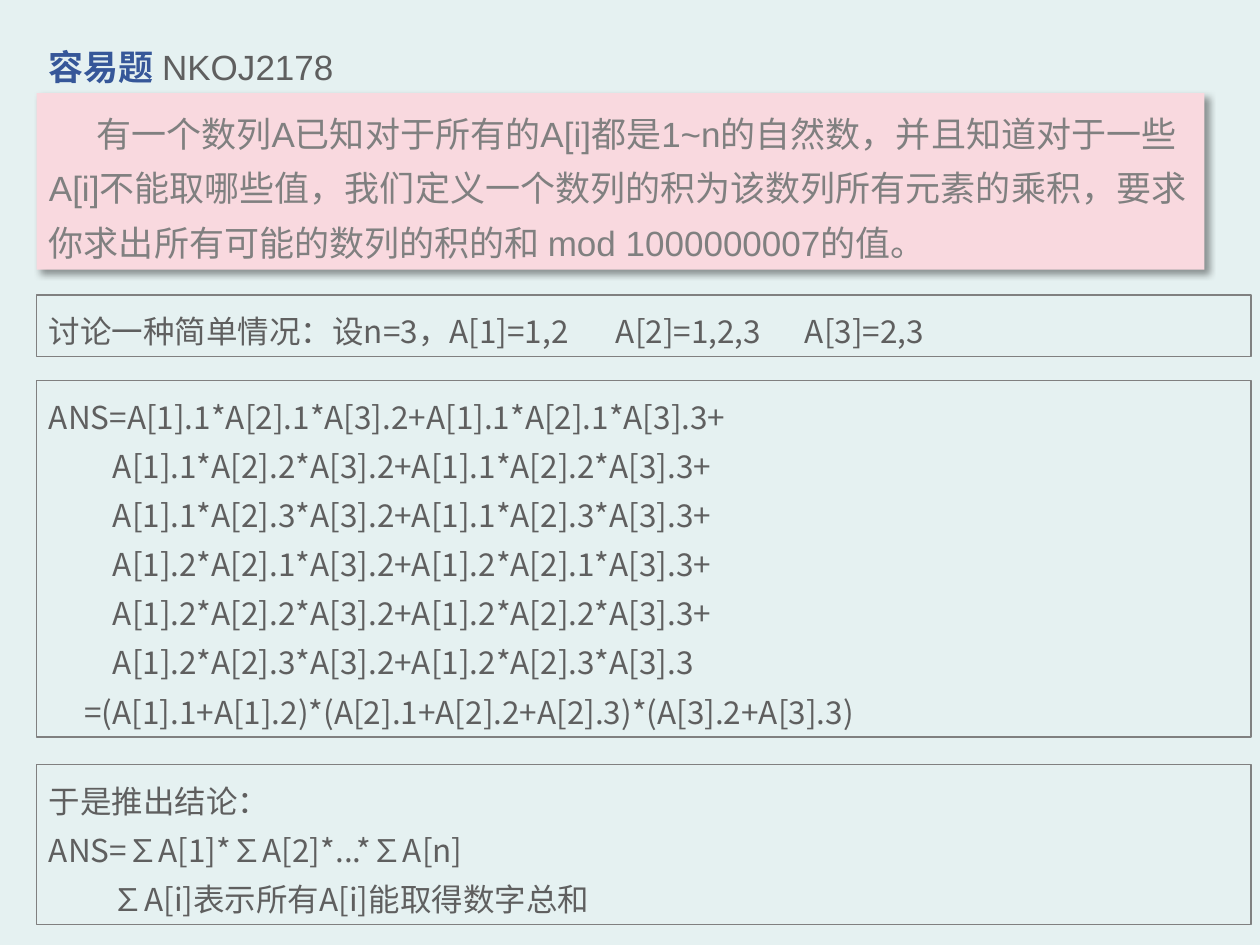
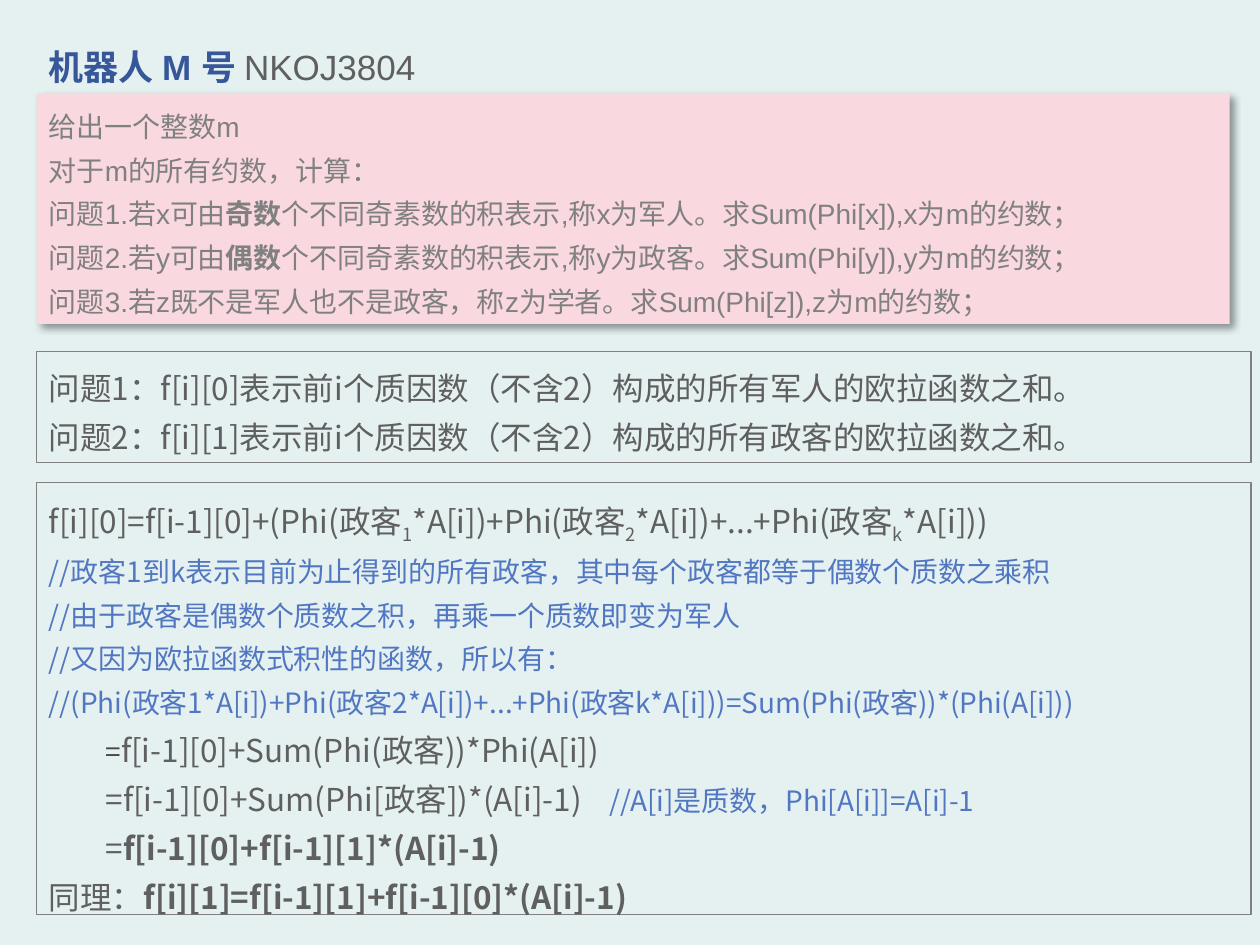
from lxml.etree import SubElement
from pptx import Presentation
from pptx.dml.color import RGBColor
from pptx.enum.shapes import MSO_SHAPE
from pptx.enum.text import MSO_ANCHOR, MSO_AUTO_SIZE, PP_ALIGN
from pptx.oxml.ns import qn
from pptx.util import Pt

BACKGROUND, PINK = "E5F1F1", "F9D9DF"
TITLE_BLUE, NOTE_BLUE = "365799", "5277C2"
GRAY, DARK, DARKER = "808080", "5F5F5F", "474747"
LATIN, CJK = "Arial", "Noto Sans CJK SC"
LEFT, TITLE_TOP, TITLE_WIDTH, TITLE_HEIGHT = 20.9, 15.1, 557.3, 38.2
PROBLEM_TOP, STEP_WIDTH = 53.3, 694

BOLD = {"bold": True}
NOTE = {"size": 16, "color": NOTE_BLUE}
SUB = {"baseline": -25}
PRODUCT_INDENT, FACTORED_INDENT, DERIVED_INDENT = 36.5, 20.3, 32.4


def line(*runs, **layout):
    return {"runs": runs, **layout}


PRODUCTS = [
    "A[1].1*A[2].2*A[3].2+A[1].1*A[2].2*A[3].3+",
    "A[1].1*A[2].3*A[3].2+A[1].1*A[2].3*A[3].3+",
    "A[1].2*A[2].1*A[3].2+A[1].2*A[2].1*A[3].3+",
    "A[1].2*A[2].2*A[3].2+A[1].2*A[2].2*A[3].3+",
    "A[1].2*A[2].3*A[3].2+A[1].2*A[2].3*A[3].3",
]

SLIDES = [
    {
        "title": "容易题 ",
        "number": "NKOJ2178",
        "problem": {
            "width": 667.4, "height": 100.8, "size": 20,
            "lines": [line(
                "有一个数列A已知对于所有的A[i]都是1~n的自然数，并且知道对于"
                "一些A[i]不能取哪些值，我们定义一个数列的积为该数列所有元素的乘积，"
                "要求你求出所有可能的数列的积的和 mod 1000000007的值。",
                first=27)],
        },
        "steps": [
            (168.5, 35.3, [line(
                "讨论一种简单情况：设n=3，A[1]=1,2\tA[2]=1,2,3\tA[3]=2,3",
                tabs=[322, 421])]),
            (217.4, 203.8, [
                line("ANS=A[1].1*A[2].1*A[3].2+A[1].1*A[2].1*A[3].3+"),
                *[line(product, margin=PRODUCT_INDENT) for product in PRODUCTS],
                line("=(A[1].1+A[1].2)*(A[2].1+A[2].2+A[2].3)*(A[3].2+A[3].3)",
                     margin=FACTORED_INDENT)]),
            (437, 91.4, [
                line("于是推出结论："),
                line("ANS=∑A[1]*∑A[2]*...*∑A[n]"),
                line("∑A[i]表示所有A[i]能取得数字总和", margin=PRODUCT_INDENT)]),
        ],
    },
    {
        "title": "机器人 M 号 ",
        "number": "NKOJ3804",
        "problem": {
            "width": 681.8, "height": 131.8, "size": 16,
            "lines": [
                line("给出一个整数m"),
                line("对于m的所有约数，计算："),
                line("问题1.若x可由", ("奇数", BOLD),
                     "个不同奇素数的积表示,称x为军人。求Sum(Phi[x]),x为m的约数；"),
                line("问题2.若y可由", ("偶数", BOLD),
                     "个不同奇素数的积表示,称y为政客。求Sum(Phi[y]),y为m的约数；"),
                line("问题3.若z既不是军人也不是政客，称z为学者。求Sum(Phi[z]),z为m的约数；")],
        },
        "steps": [
            (200.9, 63.4, [
                line("问题1：f[i][0]表示前i个质因数（不含2）构成的所有军人的欧拉函数之和。"),
                line("问题2：f[i][1]表示前i个质因数（不含2）构成的所有政客的欧拉函数之和。")]),
            (275.8, 247, [
                line("f[i][0]=f[i-1][0]+(Phi(政客", ("1", SUB), "*A[i])+Phi(政客", ("2", SUB),
                     "*A[i])+...+Phi(政客", ("k", SUB), "*A[i]))"),
                line(("//政客1到k表示目前为止得到的所有政客，其中每个政客都等于偶数个质数之乘积", NOTE)),
                line(("//由于政客是偶数个质数之积，再乘一个质数即变为军人", NOTE)),
                line(("//又因为欧拉函数式积性的函数，所以有：", NOTE)),
                line(("//(Phi(政客1*A[i])+Phi(政客2*A[i])+...+Phi(政客k*A[i]))"
                      "=Sum(Phi(政客))*(Phi(A[i]))", NOTE)),
                line(("=", {"size": 16, "color": DARKER}),
                     "f[i-1][0]+Sum(Phi(政客))*Phi(A[i])", margin=DERIVED_INDENT),
                line("=f[i-1][0]+Sum(Phi[政客])*(A[i]-1)",
                     ("\t//A[i]是质数，Phi[A[i]]=A[i]-1", NOTE),
                     margin=DERIVED_INDENT, tabs=[329]),
                line("=", ("f[i-1][0]+f[i-1][1]*(A[i]-1)", BOLD), margin=DERIVED_INDENT),
                line("同理：", ("f[i][1]=f[i-1][1]+f[i-1][0]*(A[i]-1)", BOLD))]),
        ],
    },
]


def rgb(color):
    return RGBColor.from_string(color)


def add_run(paragraph, text, font=CJK, size=18, color=DARK, bold=False, baseline=0):
    run = paragraph.add_run()
    run.text = text
    run.font.name = font
    run.font.size = Pt(size)
    run.font.bold = bold
    run.font.color.rgb = rgb(color)
    properties = run._r.get_or_add_rPr()
    SubElement(properties, qn("a:ea"), typeface=CJK)
    if baseline:
        properties.set("baseline", str(baseline * 1000))


def set_layout(paragraph, margin=0, first=0, tabs=()):
    paragraph.alignment = PP_ALIGN.LEFT
    paragraph.line_spacing = 1.3
    properties = paragraph._p.get_or_add_pPr()
    properties.set("marL", str(Pt(margin)))
    properties.set("indent", str(Pt(first)))
    if tabs:
        stops = SubElement(properties, qn("a:tabLst"))
        for stop in tabs:
            SubElement(stops, qn("a:tab"), pos=str(Pt(stop)), algn="l")


def write(shape, lines, **style):
    frame = shape.text_frame
    frame.word_wrap = True
    frame.auto_size = MSO_AUTO_SIZE.SHAPE_TO_FIT_TEXT
    frame.vertical_anchor = MSO_ANCHOR.TOP
    for index, entry in enumerate(lines):
        paragraph = frame.add_paragraph() if index else frame.paragraphs[0]
        set_layout(paragraph, **{key: entry[key] for key in entry if key != "runs"})
        for run in entry["runs"]:
            text, changes = (run, {}) if isinstance(run, str) else run
            add_run(paragraph, text, **{**style, **changes})


def add_panel(slide, top, width, height, fill=None, outline=None):
    panel = slide.shapes.add_shape(
        MSO_SHAPE.RECTANGLE, Pt(LEFT), Pt(top), Pt(width), Pt(height))
    panel.shadow.inherit = False
    if fill:
        panel.fill.solid()
        panel.fill.fore_color.rgb = rgb(fill)
    else:
        panel.fill.background()
    if outline:
        panel.line.color.rgb = rgb(outline)
        panel.line.width = Pt(0.75)
    else:
        panel.line.fill.background()
    return panel


def cast_shadow(panel, color="000000", opacity=40, blur=4, distance=3, angle=45):
    effects = panel._element.spPr.find(qn("a:effectLst"))
    shadow = SubElement(effects, qn("a:outerShdw"), blurRad=str(Pt(blur)),
                        dist=str(Pt(distance)), dir=str(angle * 60000),
                        algn="tl", rotWithShape="0")
    tint = SubElement(shadow, qn("a:srgbClr"), val=color)
    SubElement(tint, qn("a:alpha"), val=str(opacity * 1000))


def build_slide(deck, content):
    slide = deck.slides.add_slide(deck.slide_layouts[6])
    slide.background.fill.solid()
    slide.background.fill.fore_color.rgb = rgb(BACKGROUND)

    title = slide.shapes.add_textbox(
        Pt(LEFT), Pt(TITLE_TOP), Pt(TITLE_WIDTH), Pt(TITLE_HEIGHT))
    heading = line((content["title"], {"color": TITLE_BLUE, "bold": True}), content["number"])
    write(title, [heading], font=LATIN, size=20)

    problem = content["problem"]
    statement = add_panel(slide, PROBLEM_TOP, problem["width"], problem["height"], fill=PINK)
    cast_shadow(statement)
    write(statement, problem["lines"], font=LATIN, size=problem["size"], color=GRAY)

    for top, height, lines in content["steps"]:
        write(add_panel(slide, top, STEP_WIDTH, height, outline=GRAY), lines)


def main():
    deck = Presentation()
    deck.slide_width, deck.slide_height = Pt(720), Pt(540)
    for content in SLIDES:
        build_slide(deck, content)
    deck.save("out.pptx")


if __name__ == "__main__":
    main()
